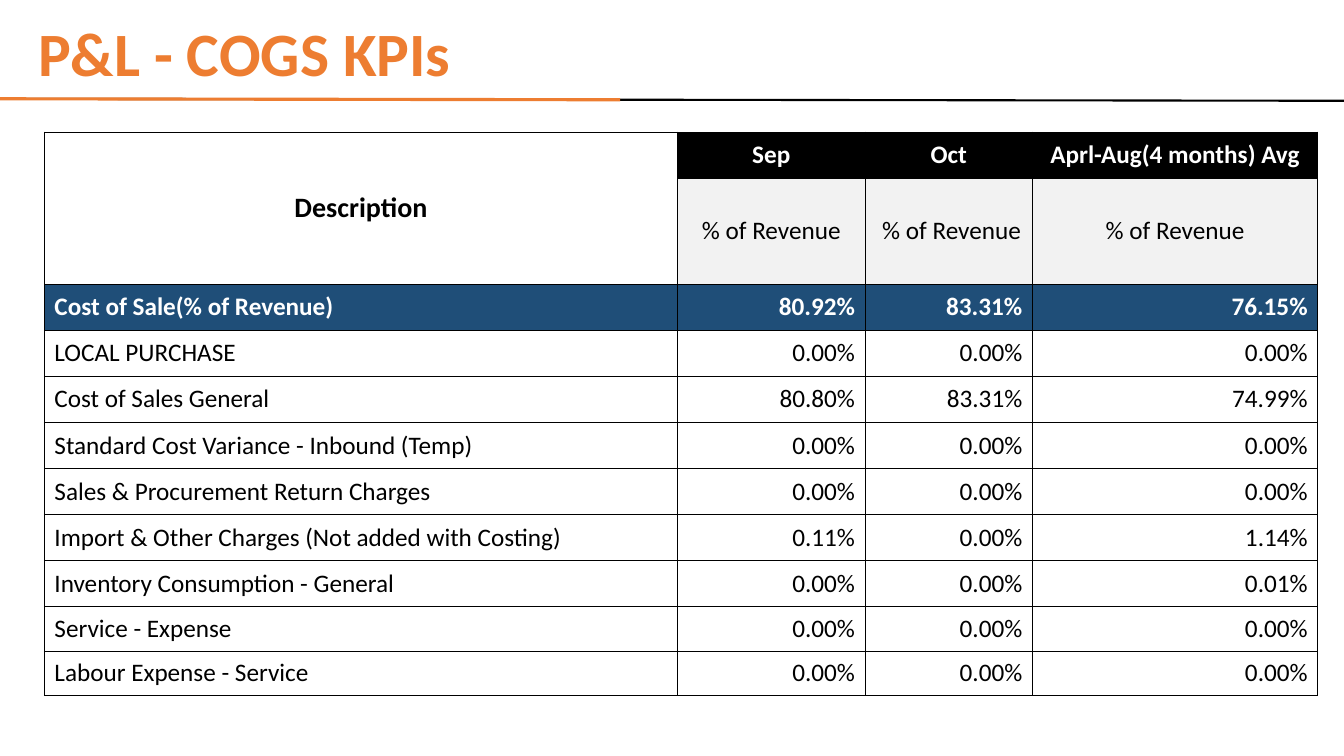
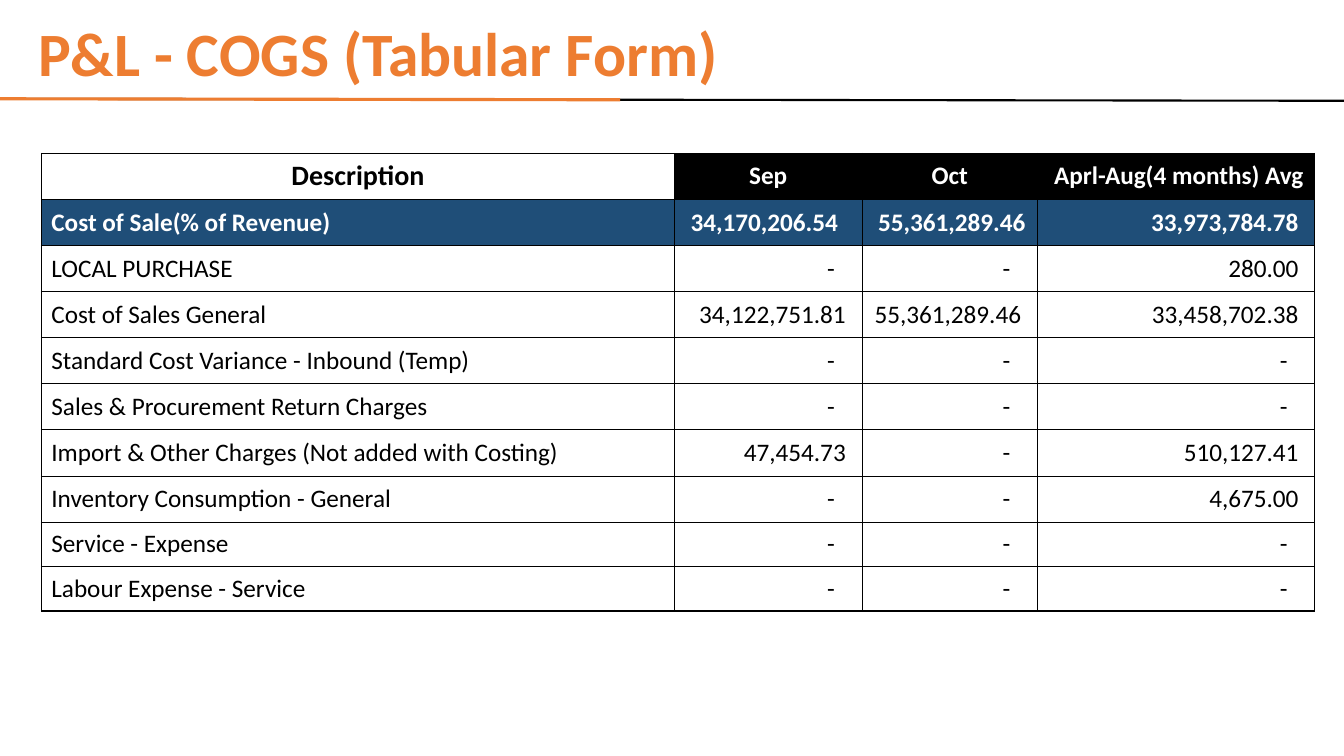
"""Build two cost of goods sold slides, each with a title band and a table."""
from pptx import Presentation
from pptx.dml.color import RGBColor
from pptx.enum import shapes, text
from pptx.oxml import ns
from pptx.util import Inches, Pt
from lxml import etree

FONT = "Calibri"
BLACK, WHITE, ORANGE = "000000", "FFFFFF", "ED7D31"
NAVY, PALE = "1F4E78", "F2F2F2"
LEFT, CENTER, RIGHT = text.PP_ALIGN.LEFT, text.PP_ALIGN.CENTER, text.PP_ALIGN.RIGHT

MARGIN, AMOUNT_MARGIN, DASH_MARGIN = 0.1, 0.16, 0.27
LAST_ROWS, LAST_ROW_HEIGHT = 2, 0.44

HEADINGS = ["Description", " Sep ", "Oct", " Aprl-Aug(4 months) Avg "]
UNIT = " % of Revenue "
ACCOUNTS = [
    "Cost of Sale(% of Revenue)",
    "LOCAL PURCHASE",
    "Cost of Sales General",
    "Standard Cost Variance - Inbound (Temp)",
    "Sales & Procurement Return Charges",
    "Import & Other Charges (Not added with Costing)",
    "Inventory Consumption - General",
    "Service - Expense",
    "Labour Expense - Service",
]
ZEROS = ("0.00%",) * 3
DASHES = ("-",) * 3

SLIDES = [
    {
        "title": "P&L - COGS KPIs",
        "at": (0.44, 1.31),
        "height": 5.59,
        "columns": [6.28, 1.86, 1.66, 2.83],
        "unit_height": 1.05,
        "value_margin": MARGIN,
        "total_aligns": (RIGHT, RIGHT, RIGHT),
        "values": [
            ("80.92%", "83.31%", "76.15%"),
            ZEROS,
            ("80.80%", "83.31%", "74.99%"),
            ZEROS,
            ZEROS,
            ("0.11%", "0.00%", "1.14%"),
            ("0.00%", "0.00%", "0.01%"),
            ZEROS,
            ZEROS,
        ],
    },
    {
        "title": "P&L - COGS (Tabular Form)",
        "at": (0.41, 1.52),
        "height": 4.54,
        "columns": [6.28, 1.86, 1.74, 2.75],
        "unit_height": 0,
        "value_margin": AMOUNT_MARGIN,
        "total_aligns": (LEFT, LEFT, RIGHT),
        "values": [
            ("34,170,206.54", "55,361,289.46", "33,973,784.78"),
            ("-", "-", "280.00"),
            ("34,122,751.81", "55,361,289.46", "33,458,702.38"),
            DASHES,
            DASHES,
            ("47,454.73", "-", "510,127.41"),
            ("-", "-", "4,675.00"),
            DASHES,
            DASHES,
        ],
    },
]


def color(value):
    return RGBColor.from_string(value)


def write(frame, words, size, tint, bold, align=LEFT):
    para = frame.paragraphs[0]
    para.alignment = align
    span = para.add_run()
    span.text = words
    span.font.name = FONT
    span.font.size = Pt(size)
    span.font.bold = bold
    span.font.color.rgb = color(tint)
    return para


def add_rule(page, start, end, tint, width):
    rule = page.shapes.add_connector(
        shapes.MSO_CONNECTOR.STRAIGHT, *map(Inches, start + end))
    rule.line.color.rgb = color(tint)
    rule.line.width = Pt(width)
    etree.SubElement(rule._element.spPr, ns.qn("a:effectLst"))


def add_header(page, title):
    add_rule(page, (0.03, 0.98), (13.35, 1), BLACK, 1.5)
    box = page.shapes.add_textbox(*map(Inches, (0.28, 0.11, 9.96, 0.91)))
    box.text_frame.word_wrap = True
    box.text_frame.vertical_anchor = text.MSO_ANCHOR.MIDDLE
    write(box.text_frame, title, 44, ORANGE, True).line_spacing = 0.9
    add_rule(page, (0, 0.98), (6.15, 0.99), ORANGE, 2.25)


def set_borders(cell, top, bottom, sides):
    props = cell._tc.get_or_add_tcPr()
    for side, width in zip("LRTB", (sides, sides, top, bottom)):
        edge = etree.SubElement(props, ns.qn(f"a:ln{side}"), w=str(Pt(width)))
        fill = etree.SubElement(edge, ns.qn("a:solidFill"))
        etree.SubElement(fill, ns.qn("a:srgbClr"), val=BLACK)


def set_fill(cell, fill):
    if fill is None:
        cell.fill.background()
    else:
        cell.fill.solid()
        cell.fill.fore_color.rgb = color(fill)


def fill_cell(cell, words, fill, tint, bold, align, size=18):
    set_fill(cell, fill)
    cell.vertical_anchor = text.MSO_ANCHOR.MIDDLE
    write(cell.text_frame, words, size, tint, bold, align)


def fill_headings(table, has_units):
    for col, heading in enumerate(HEADINGS):
        if col == 0:
            fill_cell(table.cell(0, 0), heading, None, BLACK, True, CENTER, 20)
        else:
            fill_cell(table.cell(0, col), heading, BLACK, WHITE, True, CENTER)
            if has_units:
                fill_cell(table.cell(1, col), UNIT, PALE, BLACK, False, CENTER)
    if has_units:
        set_fill(table.cell(1, 0), None)
        table.cell(0, 0).merge(table.cell(1, 0))


def fill_account(table, row, account, values, aligns, margin, is_total):
    style = (NAVY, WHITE, True) if is_total else (WHITE, BLACK, False)
    fill_cell(table.cell(row, 0), account, *style, LEFT)
    for col, (value, align) in enumerate(zip(values, aligns), 1):
        cell = table.cell(row, col)
        fill_cell(cell, value, *style, align)
        if align == LEFT:
            cell.margin_left = Inches(margin)
            cell.margin_right = Inches(0.05)
        else:
            cell.margin_right = Inches(DASH_MARGIN if value == "-" else margin)


def add_cost_table(page, slide):
    heads = 2 if slide["unit_height"] else 1
    count = heads + len(ACCOUNTS)
    frame = page.shapes.add_table(
        count, len(HEADINGS), *map(Inches, slide["at"]),
        Inches(sum(slide["columns"])), Inches(slide["height"]))
    table = frame.table
    table.first_row = table.horz_banding = False
    for column, width in zip(table.columns, slide["columns"]):
        column.width = Inches(width)

    plain = count - LAST_ROWS - (heads - 1)
    spare = slide["height"] - slide["unit_height"] - LAST_ROWS * LAST_ROW_HEIGHT
    heights = [spare / plain] * plain + [LAST_ROW_HEIGHT] * LAST_ROWS
    if heads == 2:
        heights.insert(1, slide["unit_height"])
    for index, (row, height) in enumerate(zip(table.rows, heights)):
        row.height = Inches(height)
        top = 0.5 if index <= heads else 0.75
        bottom = 0.5 if index < heads else 1.2 if index == count - 1 else 0.75
        for cell in row.cells:
            set_borders(cell, top, bottom, 0.5 if index < heads else 0.75)

    fill_headings(table, heads == 2)
    for index, (account, values) in enumerate(zip(ACCOUNTS, slide["values"])):
        is_total = index == 0
        aligns = slide["total_aligns"] if is_total else (RIGHT,) * 3
        fill_account(table, heads + index, account, values, aligns,
                     slide["value_margin"], is_total)


def main():
    deck = Presentation()
    deck.slide_width, deck.slide_height = Inches(13.33), Inches(7.5)
    for slide in SLIDES:
        page = deck.slides.add_slide(deck.slide_layouts[6])
        add_header(page, slide["title"])
        add_cost_table(page, slide)
    deck.save("out.pptx")


if __name__ == "__main__":
    main()
